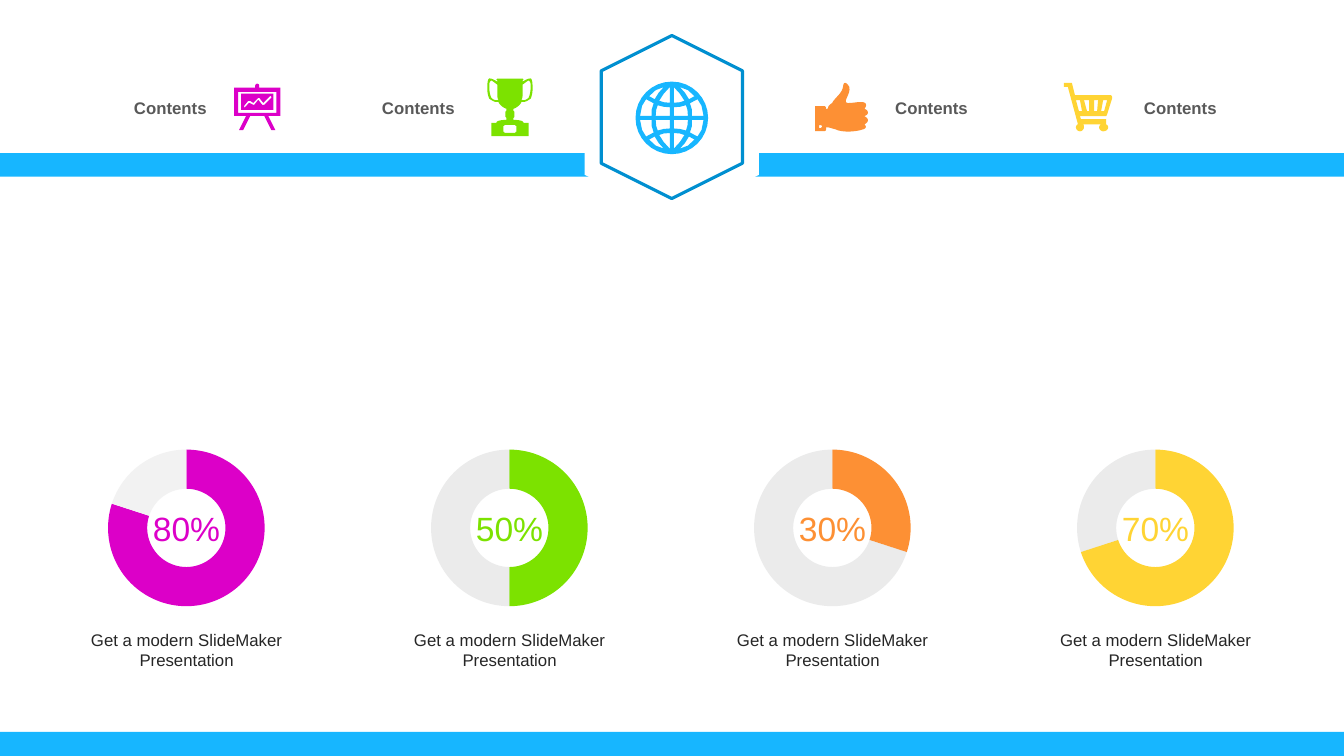
import lxml.etree
import pptx
import pptx.chart.data
import pptx.dml.color
import pptx.enum.chart
import pptx.enum.shapes
import pptx.enum.text
import pptx.oxml.ns
import pptx.util

Cm = pptx.util.Cm
RGB = pptx.dml.color.RGBColor
Align = pptx.enum.text.PP_ALIGN
Anchor = pptx.enum.text.MSO_ANCHOR
Preset = pptx.enum.shapes.MSO_SHAPE
qn = pptx.oxml.ns.qn

BLUE, DARK_BLUE = RGB(0x17, 0xB6, 0xFF), RGB(0x00, 0x8F, 0xD0)
MAGENTA, GREEN = RGB(0xDC, 0x00, 0xC8), RGB(0x7C, 0xE2, 0x00)
ORANGE, YELLOW = RGB(0xFD, 0x90, 0x34), RGB(0xFF, 0xD4, 0x34)
WHITE, PALE, GREY = RGB(0xFF, 0xFF, 0xFF), RGB(0xF2, 0xF2, 0xF2), RGB(0xBE, 0xBF, 0xBF)
LABEL_GREY, TEXT_DARK = RGB(0x59, 0x59, 0x59), RGB(0x26, 0x26, 0x26)

# Content: share, ring colour, remainder colour, remainder opacity (%)
CAPTION = "Get a modern SlideMaker Presentation"
RINGS = [(80, MAGENTA, PALE, 100), (50, GREEN, GREY, 30),
         (30, ORANGE, GREY, 30), (70, YELLOW, GREY, 30)]
# Heading: text, left edge in cm, alignment
HEADINGS = [("Contents", 2.39, Align.RIGHT), ("Contents", 8.64, Align.RIGHT),
            ("Contents", 22.31, Align.LEFT), ("Contents", 28.58, Align.LEFT)]

# Icon outlines on a grid of 0.0254 cm: pairs are corners, sixes are cubic curves
BOARD_HALF = [(23, 0), (22, 0, 21, 1, 21, 2), (21, 4), (0, 4), (0, 32), (12, 32),
              (5, 46), (9, 46), (16, 32)]
BOARD_FRAME = [(4, 8), (4, 29)]
BOARD_PANEL = [(7, 10), (7, 26)]
BOARD_TREND = [(36, 12), (29, 19), (25, 14), (24, 14), (19, 19), (16, 17), (14, 17),
               (10, 22), (10, 24), (11, 23), (15, 19), (19, 21), (20, 21), (24, 16),
               (28, 21), (30, 21), (37, 14), (37, 13)]
CUP_HALF = [(10, 0), (9, 1), (10, 2), (10, 3), (8, 2, 5, 0, 3, 0), (1, -1, 0, 2, 0, 10),
            (0, 14, 1, 18, 2, 20), (5, 22, 8, 24, 11, 23), (12, 26, 16, 29, 19, 30),
            (19, 32), (18, 33), (18, 38), (19, 39), (19, 41), (13, 41, 9, 42, 9, 44),
            (4, 44), (4, 57)]
CUP_HANDLE = [(4, 2), (2, 3, 2, 4, 2, 9), (2, 13, 3, 17, 4, 19), (6, 21, 8, 22, 11, 21),
              (10, 19, 10, 18, 10, 16), (10, 6), (7, 4, 5, 2, 4, 2)]
CUP_PLAQUE = [(17, 46), (17, 47), (16, 47), (16, 53), (17, 53), (17, 54)]
THUMB = [(30, 0), (31, 0, 33, 2, 34, 4), (36, 11, 26, 20, 33, 20), (38, 20, 40, 19, 46, 19),
         (51, 19, 52, 22, 49, 26), (52, 26, 55, 31, 49, 33), (55, 36, 52, 40, 49, 41),
         (51, 43, 51, 45, 48, 46), (43, 48, 28, 50, 20, 46), (16, 45, 14, 44, 11, 44),
         (11, 46), (11, 47, 10, 48, 9, 48), (0, 48), (0, 23), (9, 23),
         (10, 23, 11, 24, 11, 25), (11, 26), (12, 26, 12, 26, 13, 25),
         (13, 23, 14, 22, 17, 20), (20, 14, 27, 11, 28, 3), (28, 1, 29, 0, 30, 0)]
THUMB_BUTTON = [(5, 42), (4, 42, 4, 42, 4, 43), (4, 44, 4, 45, 5, 45),
                (6, 45, 7, 44, 7, 43), (7, 42, 6, 42, 5, 42)]
CART = [(8, 0), (11, 12), (46, 12), (47, 12, 48, 13, 48, 15), (43, 31), (42, 33), (16, 33),
        (17, 36), (42, 36), (42, 41), (41, 41), (43, 41, 44, 43, 44, 44),
        (44, 46, 42, 48, 39, 48), (37, 48, 35, 46, 35, 44), (35, 43, 36, 41, 38, 41),
        (19, 41), (20, 42, 20, 43, 20, 44), (20, 46, 18, 48, 16, 48),
        (14, 48, 12, 46, 12, 44), (12, 43, 13, 41, 14, 41), (4, 4), (0, 4), (0, 0)]
CART_GAPS = [[(39, 17), (37, 28), (40, 28), (43, 17)], [(30, 17), (30, 28), (33, 28), (34, 17)],
             [(20, 17), (23, 28), (25, 28), (25, 17)], [(12, 17), (15, 28), (18, 28), (16, 17)]]
# Globe: quarter of the rim and one quadrant of windows, measured from the centre
GLOBE_QUARTER = [(36, 0), (36, 19.9, 19.9, 36, 0, 36)]
GLOBE_WINDOWS = [
    [(2, 2), (16, 2), (15.5, 8), (14, 12.5), (8, 11), (2, 10.5)],
    [(2, 15), (2, 30.5), (8, 24), (12.5, 17), (8, 15.5)],
    [(20, 2), (20, 8), (18, 14.5), (25.5, 18.5), (29.5, 12), (31.5, 2)],
    [(17, 18.5), (13, 25), (8, 30.5), (16, 27.5), (22.5, 21.5)]]


def flatten(outline, steps=8):
    points = []
    for node in outline:
        if len(node) == 2:
            points.append(node)
            continue
        start = points[-1]
        for step in range(1, steps + 1):
            t = step / steps
            weights = ((1 - t) ** 3, 3 * t * (1 - t) ** 2, 3 * t * t * (1 - t), t ** 3)
            points.append(tuple(sum(w * v for w, v in zip(weights, (start[axis],) + node[axis::2]))
                                for axis in (0, 1)))
    return points


def flip(points, width):
    return [(width - x, y) for x, y in reversed(points)]


def mirrored(half, width):
    points = flatten(half)
    return points + flip(points, width)


handle = flatten(CUP_HANDLE)
rim_half = mirrored(GLOBE_QUARTER, 0)
globe = [rim_half + [(x, -y) for x, y in reversed(rim_half)]]
globe += [[(x * sx, y * sy) for x, y in window]
          for window in GLOBE_WINDOWS for sx in (1, -1) for sy in (1, -1)]
# Icon: left and top of the grid in cm, colour, contours
ICONS = [
    (5.9, 2.11, MAGENTA, [mirrored(half, 46) for half in (BOARD_HALF, BOARD_FRAME, BOARD_PANEL)]
     + [BOARD_TREND]),
    (16.93, 2.97, BLUE, globe),
    (20.54, 2.09, ORANGE, [flatten(THUMB), flatten(THUMB_BUTTON)]),
    (12.28, 1.98, GREEN, [mirrored(CUP_HALF, 45), handle, flip(handle, 45),
                          mirrored(CUP_PLAQUE, 45)]),
    (26.81, 2.09, YELLOW, [flatten(CART)] + CART_GAPS)]

deck = pptx.Presentation()
deck.slide_width, deck.slide_height = Cm(33.87), Cm(19.05)
page = deck.slides.add_slide(deck.slide_layouts[6])


def paint(shape, fill, line=None):
    shape.shadow.inherit = False
    shape.fill.solid()
    shape.fill.fore_color.rgb = fill
    if line is None:
        shape.line.fill.background()
    else:
        shape.line.color.rgb = line
        shape.line.width = pptx.util.Pt(2.25)
    return shape


def add_preset(kind, left, top, width, height, fill, line=None):
    return paint(page.shapes.add_shape(kind, Cm(left), Cm(top), Cm(width), Cm(height)), fill, line)


def add_text(text, left, top, width, height, align, anchor, size, color, bold=False):
    box = page.shapes.add_textbox(Cm(left), Cm(top), Cm(width), Cm(height))
    box.text_frame.word_wrap = True
    box.text_frame.vertical_anchor = anchor
    para = box.text_frame.paragraphs[0]
    para.alignment = align
    span = para.add_run()
    span.text = text
    for name, value in {"name": "Arial", "size": pptx.util.Pt(size), "bold": bold}.items():
        setattr(span.font, name, value)
    span.font.color.rgb = color


def add_ring(left, share, color, rest, opacity):
    data = pptx.chart.data.CategoryChartData()
    data.categories = ["1", "2"]
    data.add_series("Series 1", (share, 100 - share))
    chart = page.shapes.add_chart(pptx.enum.chart.XL_CHART_TYPE.DOUGHNUT, Cm(left), Cm(10.86),
                                  Cm(4.29), Cm(4.7), data).chart
    chart.has_legend = chart.has_title = False
    for name, value in {"name": "Arial", "size": pptx.util.Pt(18)}.items():
        setattr(chart.font, name, value)
    chart.plots[0].vary_by_categories = True
    for index, fill in enumerate((color, rest)):
        look = chart.plots[0].series[0].points[index].format
        look.fill.solid()
        look.fill.fore_color.rgb = fill
        look.line.fill.background()
        if index and opacity < 100:
            tint = next(look.fill._xPr.iter(qn("a:srgbClr")))
            lxml.etree.SubElement(tint, qn("a:alpha")).set("val", str(opacity * 1000))
    # Hole size and fixed plot area
    next(chart._chartSpace.iter(qn("c:holeSize"))).set("val", "75")
    area = next(chart._chartSpace.iter(qn("c:plotArea")))
    for old in area.findall(qn("c:layout")):
        area.remove(old)
    layout = lxml.etree.Element(qn("c:layout"))
    area.insert(0, layout)
    manual = lxml.etree.SubElement(layout, qn("c:manualLayout"))
    for tag, value in {"layoutTarget": "inner", "xMode": "edge", "yMode": "edge", "x": "0.03",
                       "y": "0.1", "w": "0.95", "h": "0.84"}.items():
        lxml.etree.SubElement(manual, qn("c:" + tag)).set("val", value)


# Bands: top edge and height
for top, height in ((3.86, 0.59), (18.44, 0.61)):
    add_preset(Preset.RECTANGLE, 0, top, 33.87, height, BLUE)

# Rings with share and caption
for column, (share, color, rest, opacity) in enumerate(RINGS):
    shift = column * 8.14
    add_preset(Preset.OVAL, 2.46 + shift, 11.1, 4.39, 4.39, WHITE)
    add_ring(2.53 + shift, share, color, rest, opacity)
    add_text(f"{share}%", 3.58 + shift, 12.67, 2.24, 1.27, Align.CENTER, Anchor.BOTTOM, 24, color)
    add_text(CAPTION, 1.91 + shift, 15.74, 5.59, 1.27, Align.CENTER, Anchor.TOP, 12, TEXT_DARK)

# Headings
for text, left, align in HEADINGS:
    add_text(text, left, 2.21, 3.07, 0.99, align, Anchor.MIDDLE, 12, LABEL_GREY, True)

# Hexagon badge
for width, height, line in ((5.11, 4.39, None), (4.11, 3.56, DARK_BLUE)):
    badge = add_preset(Preset.HEXAGON, 16.93 - width / 2, 2.95 - height / 2, width, height,
                       WHITE, line)
    badge.rotation = 90

# Icons
for left, top, color, contours in ICONS:
    builder = None
    for contour in contours:
        points = [(Cm(left + x * 0.0254), Cm(top + y * 0.0254)) for x, y in contour]
        if builder is None:
            builder = page.shapes.build_freeform(*points[0])
        else:
            builder.move_to(*points[0])
        builder.add_line_segments(points[1:], close=True)
    paint(builder.convert_to_shape(), color)

deck.save("out.pptx")
